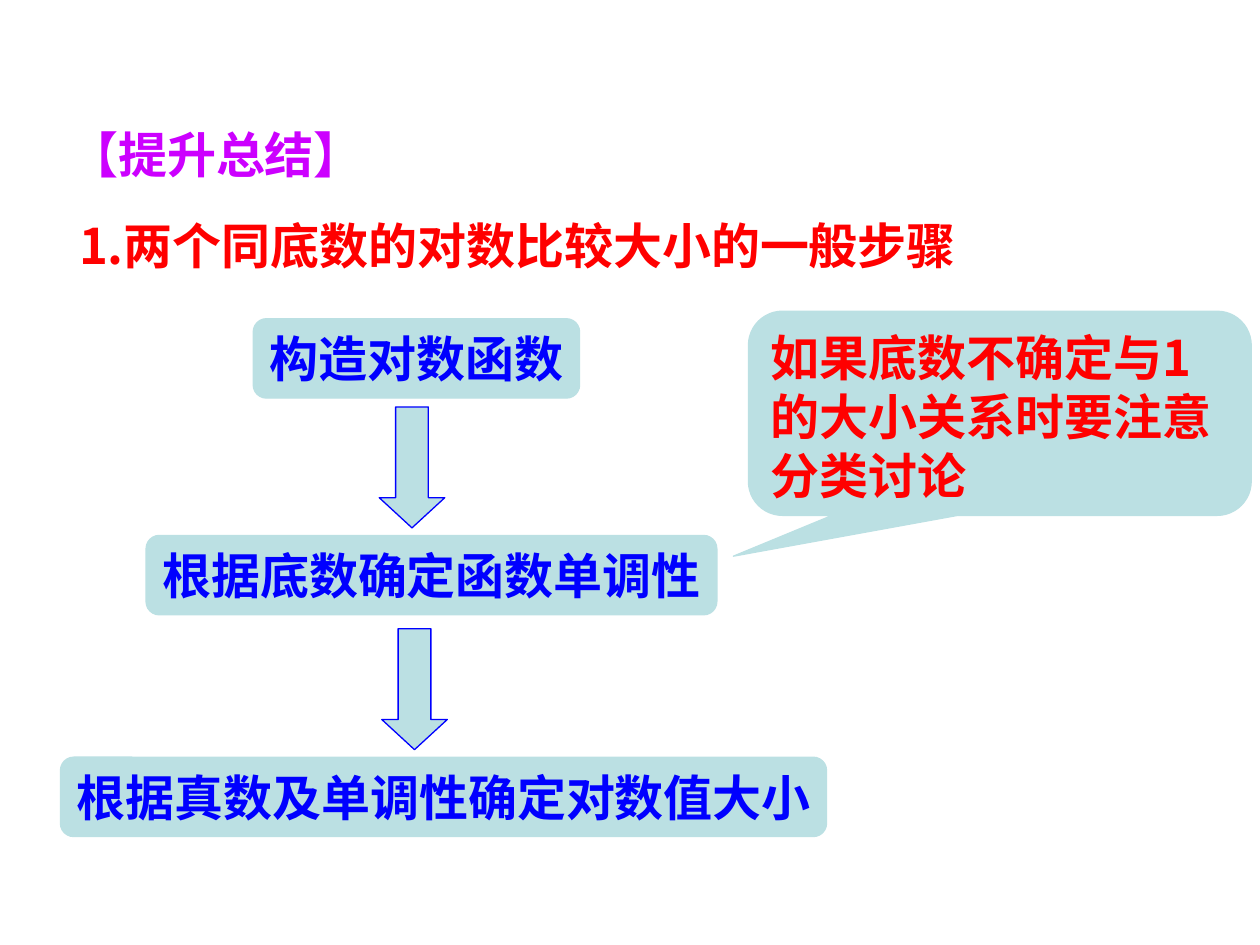
import pptx
import pptx.dml.color
import pptx.enum.shapes
import pptx.enum.text
import pptx.oxml.ns
import pptx.util
from lxml import etree

Inches = pptx.util.Inches
RGBColor = pptx.dml.color.RGBColor
MSO_SHAPE = pptx.enum.shapes.MSO_SHAPE
MSO_ANCHOR = pptx.enum.text.MSO_ANCHOR
MSO_AUTO_SIZE = pptx.enum.text.MSO_AUTO_SIZE

PURPLE = RGBColor(0xCC, 0x00, 0xFF)
RED = RGBColor(0xFF, 0x00, 0x00)
BLUE = RGBColor(0x00, 0x00, 0xFF)
TEAL = RGBColor(0xBB, 0xE0, 0xE3)
LATIN = "Arial"
CJK = "Noto Sans CJK SC"


def write_text(s, text, color, font=LATIN, anchor=MSO_ANCHOR.TOP):
    """Put bold, left-aligned text into a shape and return its paragraph."""
    tf = s.text_frame
    tf.word_wrap = True
    tf.auto_size = MSO_AUTO_SIZE.SHAPE_TO_FIT_TEXT
    tf.vertical_anchor = anchor
    p = tf.paragraphs[0]
    p.alignment = pptx.enum.text.PP_ALIGN.LEFT
    r = p.add_run()
    r.text = text
    r.font.size = pptx.util.Pt(28)
    r.font.bold = True
    r.font.color.rgb = color
    r.font.name = font
    ea = etree.SubElement(r.font._element, pptx.oxml.ns.qn("a:ea"))
    ea.set("typeface", CJK)
    return p


def add_title(slide, text):
    """Fill the title placeholder and move it to the top left."""
    s = slide.shapes.title
    s.left, s.top, s.width, s.height = map(Inches, (0.45, 0.94, 2.63, 0.57))
    write_text(s, text, PURPLE)


def add_heading(slide, text):
    """Add the numbered heading below the title."""
    s = slide.shapes.add_textbox(*map(Inches, (0.53, 1.43, 8.49, 0.8)))
    p = write_text(s, text, RED, CJK, MSO_ANCHOR.MIDDLE)
    p.line_spacing = 1.5


def add_filled(slide, kind, left, top, width, height, line=TEAL):
    """Add a flat teal preset shape with a thin outline."""
    s = slide.shapes.add_shape(kind, *map(Inches, (left, top, width, height)))
    s.shadow.inherit = False
    s.fill.solid()
    s.fill.fore_color.rgb = TEAL
    s.line.color.rgb = line
    s.line.width = pptx.util.Pt(0.75)
    return s


def add_step(slide, text, left, top, width):
    """Add one rounded step box of fixed size, with room for its line of text."""
    s = add_filled(slide, MSO_SHAPE.ROUNDED_RECTANGLE, left, top, width, 0.63)
    write_text(s, text, BLUE)
    s.text_frame.auto_size = MSO_AUTO_SIZE.NONE
    s.text_frame.margin_right = Inches(0.02)


def add_down_arrow(slide, left, top):
    """Add a block arrow leading to the next step."""
    s = add_filled(slide, MSO_SHAPE.DOWN_ARROW, left, top, 0.52, 0.96, BLUE)
    s.adjustments[1] = 0.46


def add_callout(slide, text):
    """Add the callout that points at the second step."""
    s = add_filled(slide, MSO_SHAPE.ROUNDED_RECTANGULAR_CALLOUT, 5.94, 2.47, 3.99, 1.62)
    s.adjustments[0] = -0.53
    s.adjustments[1] = 0.7
    write_text(s, text, RED, CJK)


def main():
    """Build the slide and save it."""
    prs = pptx.Presentation()
    prs.slide_width, prs.slide_height = Inches(10), Inches(7.5)
    slide = prs.slides.add_slide(prs.slide_layouts.get_by_name("Title Only"))
    add_title(slide, "【提升总结】")
    add_heading(slide, "1.两个同底数的对数比较大小的一般步骤")
    for step in (
        ("构造对数函数", 2.01, 2.53, 2.59),
        ("根据底数确定函数单调性", 1.16, 4.25, 4.53),
        ("根据真数及单调性确定对数值大小", 0.48, 6.01, 6.08),
    ):
        add_step(slide, *step)
    for left, top in ((3.01, 3.23), (3.03, 4.99)):
        add_down_arrow(slide, left, top)
    add_callout(slide, "如果底数不确定与1的大小关系时要注意分类讨论")
    prs.save("out.pptx")


if __name__ == "__main__":
    main()
